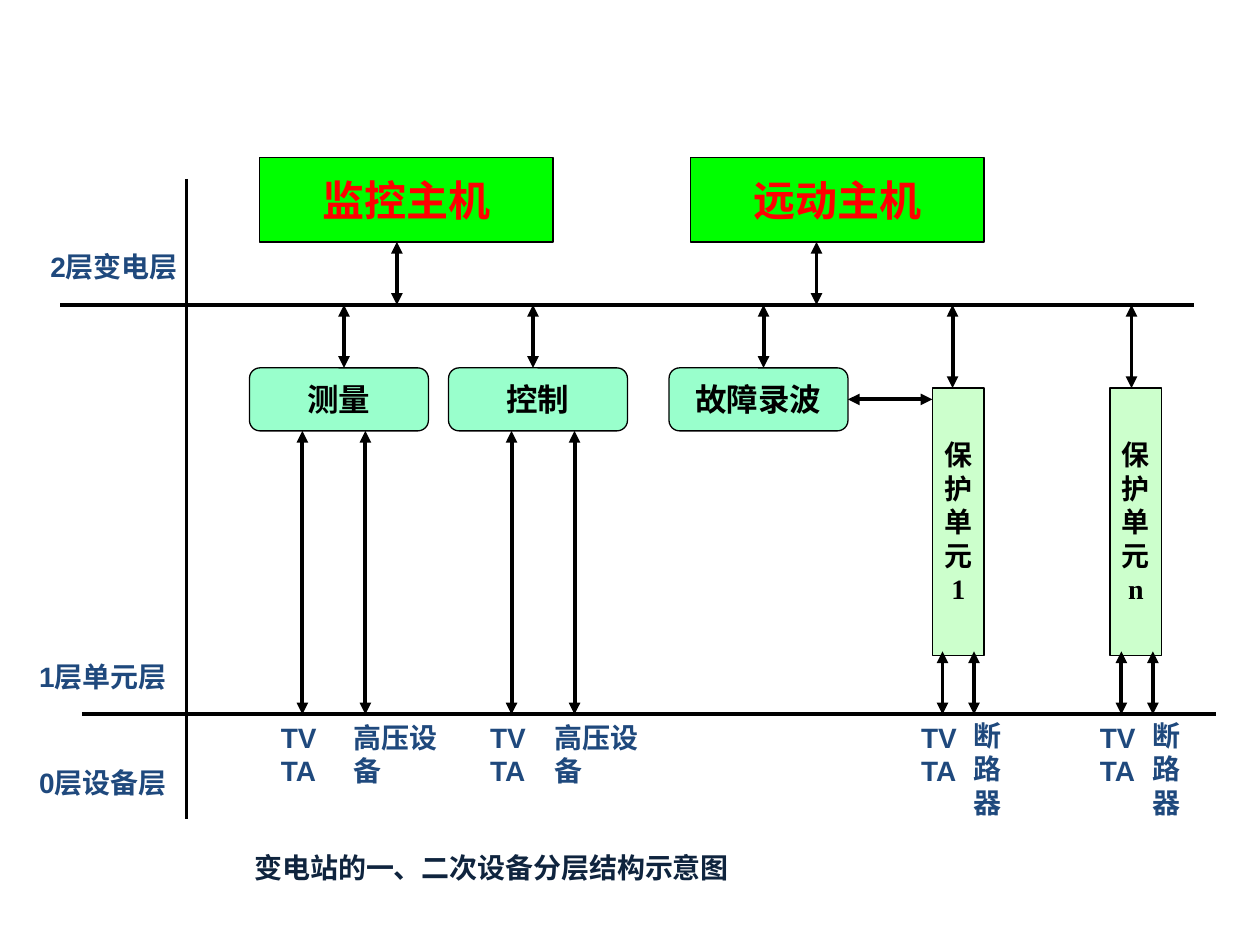
from lxml.etree import SubElement
from pptx import Presentation
from pptx.dml.color import RGBColor
from pptx.enum.shapes import MSO_CONNECTOR as Connector, MSO_SHAPE as Shape
from pptx.enum.text import MSO_ANCHOR as Anchor, PP_ALIGN as Align
from pptx.oxml.ns import qn
from pptx.util import Inches, Pt

BLACK = RGBColor(0x00, 0x00, 0x00)
NAVY = RGBColor(0x0F, 0x24, 0x3E)
BLUE = RGBColor(0x1F, 0x49, 0x7D)
RED = RGBColor(0xFF, 0x00, 0x00)
GREEN = RGBColor(0x00, 0xFF, 0x00)
MINT = RGBColor(0x99, 0xFF, 0xCC)
PALE_GREEN = RGBColor(0xCC, 0xFF, 0xCC)

CJK_FONT = "Noto Sans CJK JP"
HOST = {"name": "Noto Sans CJK KR", "size": Pt(24), "color": RED}
MODULE = {"name": "Times New Roman", "size": Pt(18), "color": BLACK}
PROTECTION = {**MODULE, "size": Pt(16)}
LABEL = {"name": "Arial", "size": Pt(16), "color": BLUE}
TITLE = {"name": CJK_FONT, "size": Pt(16), "color": NAVY}

STATION_BUS, DEVICE_BUS = 2.42, 5.67


class LayerDiagram:
    """Draws the parts of a layered substation diagram on one slide."""

    def __init__(self, slide):
        self.slide = slide

    def set_text(self, frame, text, style, align, **layout):
        for name, value in layout.items():
            setattr(frame, name, value)
        frame.text = text
        for paragraph in frame.paragraphs:
            paragraph.alignment = align
            for run in paragraph.runs:
                font = run.font
                font.bold = True
                font.color.rgb = style["color"]
                for name in ("name", "size"):
                    setattr(font, name, style[name])
                SubElement(run._r.get_or_add_rPr(), qn("a:ea"), typeface=CJK_FONT)

    def title(self, text, left, top, width, height):
        title = self.slide.shapes.title
        place = {"left": left, "top": top, "width": width, "height": height}
        for name, value in place.items():
            setattr(title, name, Inches(value))
        self.set_text(title.text_frame, text, TITLE, Align.LEFT,
                      word_wrap=True, vertical_anchor=Anchor.MIDDLE)

    def box(self, kind, text, left, top, width, height, fill, style):
        shape = self.slide.shapes.add_shape(
            kind, Inches(left), Inches(top), Inches(width), Inches(height))
        shape.shadow.inherit = False
        shape.fill.solid()
        shape.fill.fore_color.rgb = fill
        shape.line.color.rgb = BLACK
        shape.line.width = Pt(0.75)
        self.set_text(shape.text_frame, text, style, Align.CENTER,
                      word_wrap=False, vertical_anchor=Anchor.MIDDLE)
        return shape

    def label(self, text, left, top, width, height):
        shape = self.slide.shapes.add_textbox(
            Inches(left), Inches(top), Inches(width), Inches(height))
        self.set_text(shape.text_frame, text, LABEL, Align.LEFT, word_wrap=True,
                      vertical_anchor=Anchor.BOTTOM, margin_left=0, margin_right=0,
                      margin_top=Inches(0.05), margin_bottom=0)

    def line(self, x1, y1, x2, y2):
        line = self.slide.shapes.add_connector(
            Connector.STRAIGHT, Inches(x1), Inches(y1), Inches(x2), Inches(y2))
        line.line.color.rgb = BLACK
        line.line.width = Pt(2.25)
        SubElement(line._element.spPr, qn("a:effectLst"))
        return line

    def arrow(self, x1, y1, x2, y2):
        arrow = self.line(x1, y1, x2, y2)
        outline = arrow._element.spPr.find(qn("a:ln"))
        for end in ("a:headEnd", "a:tailEnd"):
            SubElement(outline, qn(end), type="triangle")
        return arrow


def main():
    presentation = Presentation()
    presentation.slide_width, presentation.slide_height = Inches(10), Inches(7.5)
    slide = presentation.slides.add_slide(presentation.slide_layouts[5])
    diagram = LayerDiagram(slide)
    diagram.title("变电站的一、二次设备分层结构示意图", 1.92, 6.67, 5.67, 0.42)

    diagram.line(0.65, DEVICE_BUS, 9.65, DEVICE_BUS)
    diagram.line(0.48, STATION_BUS, 9.48, STATION_BUS)
    diagram.line(1.48, 1.42, 1.48, 6.5)

    for text, left, arrow_x in (("监控主机", 2.06, 3.15), ("远动主机", 5.48, 6.48)):
        diagram.box(Shape.FLOWCHART_PROCESS, text, left, 1.25, 2.33, 0.67, GREEN, HOST)
        diagram.arrow(arrow_x, 1.92, arrow_x, STATION_BUS)

    modules = {}
    for text, left, arrow_x in (("测量", 1.98, 2.73), ("控制", 3.56, 4.23),
                                ("故障录波", 5.31, 6.06)):
        modules[text] = diagram.box(Shape.FLOWCHART_ALTERNATE_PROCESS, text,
                                    left, 2.92, 1.42, 0.5, MINT, MODULE)
        diagram.arrow(arrow_x, STATION_BUS, arrow_x, 2.92)

    for number, left, bus_x, first_x in (("1", 7.4, 7.56, 7.48), ("n", 8.81, 8.98, 8.9)):
        diagram.box(Shape.FLOWCHART_PROCESS, "\n".join("保护单元" + number),
                    left, 3.08, 0.41, 2.12, PALE_GREEN, PROTECTION)
        diagram.arrow(bus_x, STATION_BUS, bus_x, 3.08)
        for x in (first_x, first_x + 0.25):
            diagram.arrow(x, 5.17, x, DEVICE_BUS)
        diagram.label("TV\nTA", first_x - 0.17, 5.58, 0.42, 0.67)
        diagram.label("断路器", first_x + 0.25, 5.5, 0.42, 1)

    recorder_link = diagram.arrow(6.73, 3.17, 7.4, 3.17)
    recorder_link.begin_connect(modules["故障录波"], 3)

    for first_x, equipment_x in ((2.4, 2.81), (4.06, 4.4)):
        for x in (first_x, first_x + 0.5):
            diagram.arrow(x, 3.42, x, DEVICE_BUS)
        diagram.label("TV\nTA", first_x - 0.17, 5.58, 0.42, 0.67)
        diagram.label("高压设备", equipment_x, 5.58, 0.67, 0.67)

    for text, left, top in (("2层变电层", 0.4, 1.83), ("1层单元层", 0.31, 5.08),
                            ("0层设备层", 0.31, 5.92)):
        diagram.label(text, left, top, 1.25, 0.42)

    presentation.save("out.pptx")


if __name__ == "__main__":
    main()
